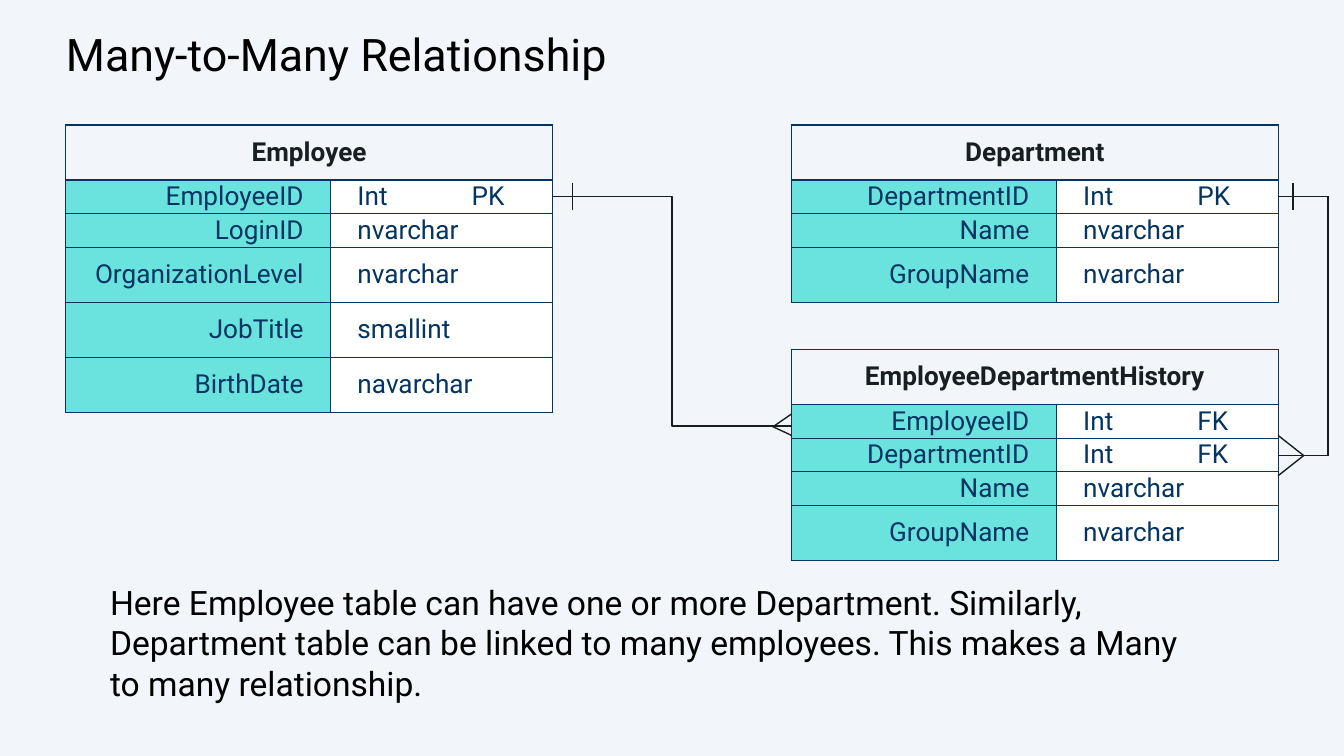
from itertools import pairwise
from lxml.etree import SubElement
from pptx import Presentation
from pptx.dml.color import RGBColor
from pptx.enum.shapes import MSO_CONNECTOR
from pptx.enum.text import MSO_ANCHOR, PP_ALIGN
from pptx.oxml.ns import qn
from pptx.util import Inches, Pt

PAPER = RGBColor(0xF2, 0xF5, 0xF9)
BLACK = RGBColor(0, 0, 0)
WHITE = RGBColor(0xFF, 0xFF, 0xFF)
NAVY = RGBColor(0x04, 0x34, 0x61)
INK = RGBColor(0x18, 0x1F, 0x22)
WIRE = RGBColor(0x17, 0x1E, 0x21)
TEAL = RGBColor(0x00, 0xD6, 0xCB)

TITLE = "Many-to-Many Relationship"
NOTE = ("Here Employee table can have one or more Department. Similarly, "
        "Department table can be linked to many employees. "
        "This makes a Many to many relationship.")
WIDE = Inches(10)
LOW, TALL = 0.25, 0.41
COLS = (1.97, 1.65)
LEFT, RIGHT = 0.49, 5.89
TABLES = [
    ("Employee", LEFT, 0.93, [
        ("EmployeeID", "Int\tPK", LOW),
        ("LoginID", "nvarchar", LOW),
        ("OrganizationLevel", "nvarchar", TALL),
        ("JobTitle", "smallint", TALL),
        ("BirthDate", "navarchar", TALL)]),
    ("Department", RIGHT, 0.93, [
        ("DepartmentID", "Int\tPK", LOW),
        ("Name", "nvarchar", LOW),
        ("GroupName", "nvarchar", TALL)]),
    ("EmployeeDepartmentHistory", RIGHT, 2.6, [
        ("EmployeeID", "Int\tFK", LOW),
        ("DepartmentID", "Int\tFK", LOW),
        ("Name", "nvarchar", LOW),
        ("GroupName", "nvarchar", TALL)]),
]
EDGE = RIGHT + sum(COLS)
KEY, MANY, LINK, RAIL = 1.46, 3.17, 3.39, 9.88
PATHS = [
    [(5.76, MANY), (RIGHT, 3.08)],
    [(5.74, MANY), (RIGHT, 3.24)],
    [(4.26, KEY - 0.1), (4.26, KEY + 0.1)],
    [(EDGE, KEY), (RAIL, KEY), (RAIL, LINK), (EDGE, LINK)],
    [(EDGE, LINK - 0.15), (9.7, LINK), (EDGE, LINK + 0.15)],
    [(9.62, KEY - 0.1), (9.62, KEY + 0.1)],
]


def write(frame, text, size=14, color=NAVY, bold=False, align=PP_ALIGN.LEFT):
    para = frame.paragraphs[0]
    para.alignment = align
    run = para.add_run()
    run.text = text
    font = run.font
    font.name, font.size, font.bold = "Roboto", Pt(size), bold
    font.color.rgb = color
    return para


def style(cell, fill=None, alpha=None):
    cell.vertical_anchor = MSO_ANCHOR.MIDDLE
    cell.margin_left = cell.margin_right = Inches(0.2)
    cell.margin_top = cell.margin_bottom = Inches(0.01)
    props = cell._tc.get_or_add_tcPr()
    for side in ("a:lnL", "a:lnR", "a:lnT", "a:lnB"):
        line = SubElement(props, qn(side), w=str(Pt(0.75)))
        paint = SubElement(line, qn("a:solidFill"))
        SubElement(paint, qn("a:srgbClr"), val=str(NAVY))
    if fill is None:
        cell.fill.background()
        return
    cell.fill.solid()
    cell.fill.fore_color.rgb = fill
    if alpha:
        tint = props.find(qn("a:solidFill")).find(qn("a:srgbClr"))
        SubElement(tint, qn("a:alpha"), val=str(alpha * 1000))


def entity(slide, name, left, top, fields):
    sizes = [TALL] + [field[2] for field in fields]
    table = slide.shapes.add_table(
        len(sizes), 2, Inches(left), Inches(top),
        Inches(sum(COLS)), Inches(sum(sizes))).table
    table.first_row = table.horz_banding = False
    for col, width in zip(table.columns, COLS):
        col.width = Inches(width)
    for row, height in zip(table.rows, sizes):
        row.height = Inches(height)
    head, rest = table.cell(0, 0), table.cell(0, 1)
    head.merge(rest)
    style(head)
    style(rest)
    write(head.text_frame, name, color=INK, bold=True, align=PP_ALIGN.CENTER)
    for row, (field, kind, _) in enumerate(fields, 1):
        label, value = table.cell(row, 0), table.cell(row, 1)
        style(label, TEAL, 56)
        style(value, WHITE)
        write(label.text_frame, field, align=PP_ALIGN.RIGHT)
        para = write(value.text_frame, kind)
        if "\t" in kind:
            tabs = SubElement(para._p.get_or_add_pPr(), qn("a:tabLst"))
            SubElement(tabs, qn("a:tab"), pos=str(Inches(0.85)), algn="l")


def wire(slide, start, end, kind=MSO_CONNECTOR.STRAIGHT):
    ends = [Inches(n) for n in (*start, *end)]
    line = slide.shapes.add_connector(kind, *ends)
    line.line.color.rgb = WIRE
    line.line.width = Pt(0.75)
    SubElement(line._element.spPr, qn("a:effectLst"))


def main():
    deck = Presentation()
    deck.slide_width, deck.slide_height = WIDE, WIDE * 9 // 16
    slide = deck.slides.add_slide(deck.slide_layouts[5])
    slide.background.fill.solid()
    slide.background.fill.fore_color.rgb = PAPER

    title = slide.shapes.title
    title.left, title.top = Inches(-0.01), 0
    title.width, title.height = Inches(10.03), Inches(0.58)
    frame = title.text_frame
    frame.vertical_anchor = MSO_ANCHOR.TOP
    frame.margin_left, frame.margin_right = Inches(0.5), Inches(0.3)
    frame.margin_top, frame.margin_bottom = Inches(0.2), Inches(0.1)
    write(frame, TITLE, size=24, color=BLACK)

    for item in TABLES:
        entity(slide, *item)
    wire(slide, (LEFT + sum(COLS), KEY), (RIGHT, MANY), MSO_CONNECTOR.ELBOW)
    for points in PATHS:
        for start, end in pairwise(points):
            wire(slide, start, end)

    note = slide.shapes.add_textbox(
        Inches(0.72), Inches(4.28), Inches(8.41), Inches(1.01))
    note.text_frame.word_wrap = True
    write(note.text_frame, NOTE, size=18, color=BLACK)
    deck.save("out.pptx")


if __name__ == "__main__":
    main()
